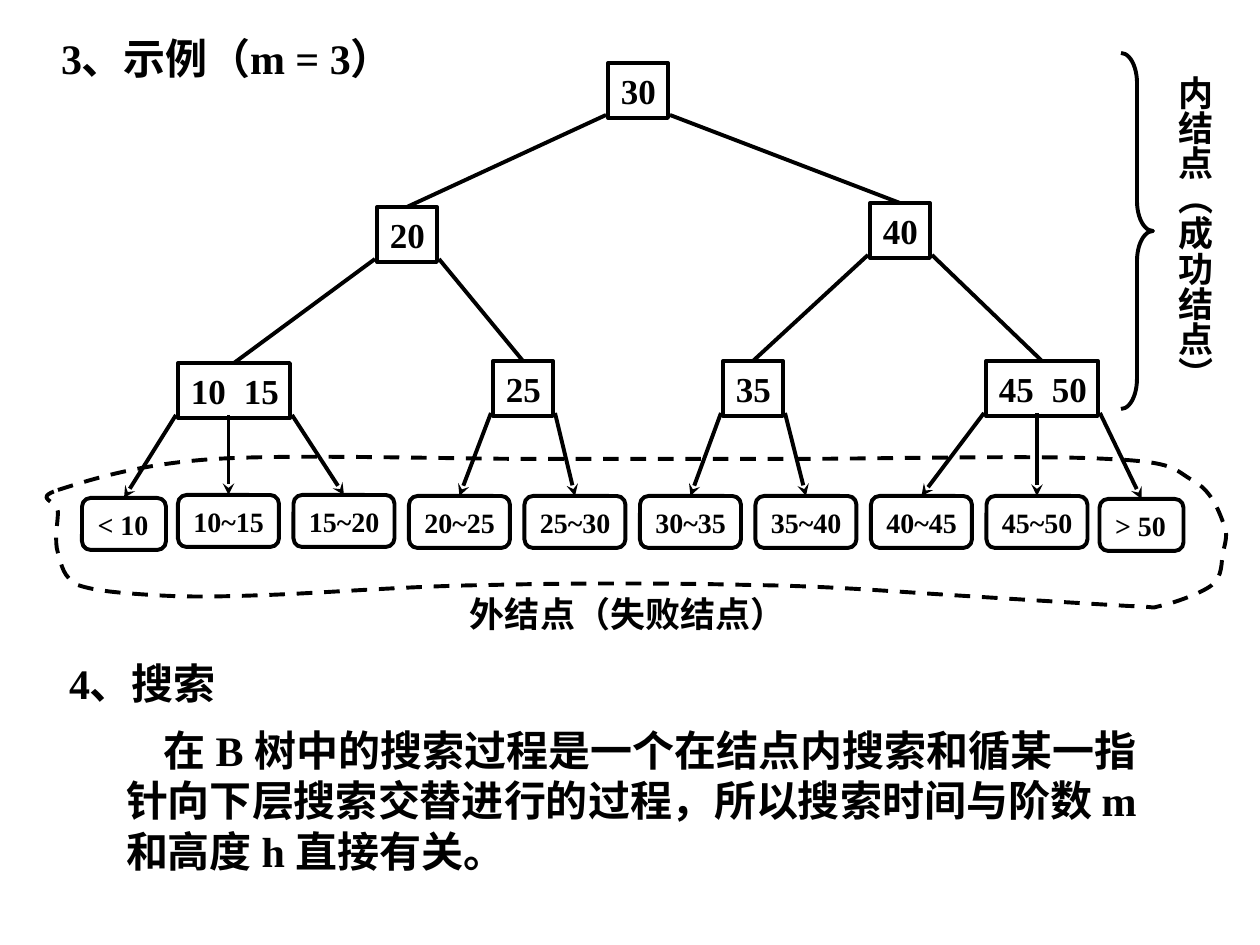
from lxml import etree
from pptx import Presentation
from pptx import util as u
from pptx.dml.color import RGBColor
from pptx.enum import dml, shapes, text
from pptx.oxml.ns import qn

# Content; all lengths in px, 126 to the inch
HEADING = ("3、示例（m = 3）", (48, 26, 387, 63))
NOTES = [  # text, box, size, format, first-line indent
    ("4、搜索", (56, 651, 181, 63), "heading", {"word_wrap": False}, 0),
    ("在 B 树中的搜索过程是一个在结点内搜索和循某一指针向下层搜索交替进行的过程，"
     "所以搜索时间与阶数 m 和高度 h 直接有关。", (113, 718, 1062, 164), "heading",
     {"word_wrap": True}, 38),
    ("外结点（失败结点）", (457, 586, 340, 55), "node", {"word_wrap": False}, 0),
]
INNER_LABEL = ("内结点（成功结点）", (1161, 69, 67, 329))
BRACE = (1121, 53, 32, 356)

NODES = {  # keys, left, top
    "root": (("30",), 608, 63),
    "left": (("20",), 377, 207),
    "right": (("40",), 870, 203),
    "low": (("10", "15"), 178, 363),
    "mid left": (("25",), 493, 361),
    "mid right": (("35",), 723, 361),
    "high": (("45", "50"), 986, 361),
}
LEAVES = [  # range, top
    ("< 10", 498), ("10~15", 495), ("15~20", 495), ("20~25", 496), ("25~30", 496),
    ("30~35", 496), ("35~40", 496), ("40~45", 496), ("45~50", 496), ("> 50", 499),
]
CHILDREN = {
    "root": ["left", "right"],
    "left": ["low", "mid left"],
    "right": ["mid right", "high"],
    "low": ["< 10", "10~15", "15~20"],
    "mid left": ["20~25", "25~30"],
    "mid right": ["30~35", "35~40"],
    "high": ["40~45", "45~50", "> 50"],
}
LOOP_START = (58, 490)
LOOP = [  # Bézier pieces: two control points and an end point
    (84, 482, 135, 464, 215, 459), (296, 454, 446, 459, 541, 459),
    (635, 459, 688, 459, 782, 459), (877, 459, 1040, 455, 1108, 459),
    (1176, 462, 1173, 469, 1192, 480), (1211, 490, 1218, 509, 1223, 522),
    (1229, 534, 1225, 543, 1223, 553), (1221, 563, 1223, 576, 1212, 585),
    (1202, 593, 1174, 603, 1160, 606), (1147, 609, 1164, 607, 1129, 606),
    (1094, 604, 1013, 599, 950, 595), (887, 591, 828, 586, 751, 585),
    (674, 583, 568, 583, 489, 585), (408, 586, 324, 593, 267, 595),
    (212, 597, 184, 597, 152, 595), (121, 593, 95, 591, 78, 585),
    (63, 577, 62, 566, 58, 553), (54, 541, 58, 522, 58, 512),
    (58, 500, 32, 499, 58, 490),
]
THEME = {"font": "Times New Roman", "ink": RGBColor(0, 0, 0), "line": u.Pt(2.25),
         "heading": u.Pt(24), "node": u.Pt(20), "leaf": u.Pt(16)}
INSET_X, INSET_Y = 13, 6


def px(value):
    return u.Emu(round(value * 914400 / 126))


def place(box):
    return [px(value) for value in box]


def set_all(target, values):
    for name, value in values.items():
        setattr(target, name, value)


def write(shape, words, size, frame_format, indent=0, tab=None):
    frame = shape.text_frame
    set_all(frame, {"margin_left": px(INSET_X), "margin_right": px(INSET_X),
                    "margin_top": px(INSET_Y), "margin_bottom": px(INSET_Y),
                    "vertical_anchor": text.MSO_ANCHOR.TOP,
                    "auto_size": text.MSO_AUTO_SIZE.NONE, **frame_format})
    frame.text = words
    paragraph = frame.paragraphs[0]
    paragraph.alignment = text.PP_ALIGN.LEFT
    properties = paragraph._p.get_or_add_pPr()
    if indent:
        properties.set("marL", "0")
        properties.set("indent", str(px(indent)))
    if tab:
        tabs = etree.SubElement(properties, qn("a:tabLst"))
        etree.SubElement(tabs, qn("a:tab"), pos=str(px(tab)), algn="l")
    font = paragraph.runs[0].font
    set_all(font, {"name": THEME["font"], "size": THEME[size], "bold": True})
    font.color.rgb = THEME["ink"]


def outline(shape):
    shape.line.color.rgb = THEME["ink"]
    shape.line.width = THEME["line"]


def plain(shape):
    shape.shadow.inherit = False
    shape.fill.background()
    outline(shape)
    return shape


def curve(shape):
    """Turn each three straight segments into one Bézier piece."""
    segments = list(shape._element.iter(qn("a:lnTo")))
    for first in range(0, len(segments), 3):
        piece = etree.Element(qn("a:cubicBezTo"))
        segments[first].addprevious(piece)
        for segment in segments[first:first + 3]:
            piece.append(segment[0])
            segment.getparent().remove(segment)


def main():
    presentation = Presentation()
    presentation.slide_width, presentation.slide_height = px(1260), px(945)
    slide = presentation.slides.add_slide(presentation.slide_layouts[5])
    parts = slide.shapes

    # Headings and text
    title = parts.title
    set_all(title, dict(zip(("left", "top", "width", "height"), place(HEADING[1]))))
    write(title, HEADING[0], "heading", {"word_wrap": True, "margin_right": 0})
    for words, box, size, frame_format, indent in NOTES:
        write(parts.add_textbox(*place(box)), words, size,
              {"vertical_anchor": text.MSO_ANCHOR.MIDDLE, **frame_format}, indent)

    # Inner nodes
    tree = {}
    for name, (keys, left, top) in NODES.items():
        width = 60 if len(keys) == 1 else 112
        tree[name] = plain(parts.add_shape(shapes.MSO_SHAPE.RECTANGLE,
                                           *place((left, top, width, 55))))
        write(tree[name], "\t".join(keys), "node",
              {"margin_right": 0, "word_wrap": True}, tab=53 if len(keys) > 1 else None)

    # Leaves: equal pitch, with narrower boxes at both ends
    for index, (words, top) in enumerate(LEAVES):
        at_end = index in (0, len(LEAVES) - 1)
        kind = (shapes.MSO_SHAPE.FLOWCHART_ALTERNATE_PROCESS if at_end
                else shapes.MSO_SHAPE.ROUNDED_RECTANGLE)
        width = 84 if at_end else 101
        center = 113 + 115.5 * index + (11 if index == 0 else -11 if at_end else 0)
        tree[words] = plain(parts.add_shape(kind, *place((center - width / 2, top, width, 52))))
        write(tree[words], words, "leaf",
              {"margin_right": 0, "margin_top": px(INSET_Y + 1), "word_wrap": True})

    # Edges from the lower corners (and middle) to the top of each child
    for name, children in CHILDREN.items():
        parent = tree[name]
        for index, child_name in enumerate(children):
            child = tree[child_name]
            center = child.left + child.width // 2
            if index == 0:
                x = parent.left - px(2)
            elif index == len(children) - 1:
                x = parent.left + parent.width + px(2)
            else:
                x = center
            edge = parts.add_connector(shapes.MSO_CONNECTOR.STRAIGHT, x,
                                       parent.top + parent.height - px(3), center, child.top)
            edge.end_connect(child, 0)
            outline(edge)
            if child_name not in NODES:
                etree.SubElement(edge.line._get_or_add_ln(), qn("a:tailEnd"), type="stealth")
            etree.SubElement(edge._element.spPr, qn("a:effectLst"))

    # Brace and its vertical label
    brace = plain(parts.add_shape(shapes.MSO_SHAPE.RIGHT_BRACE, *place(BRACE)))
    brace.adjustments[0] = 0.94
    label = parts.add_textbox(*place(INNER_LABEL[1]))
    write(label, INNER_LABEL[0], "node",
          {"margin_left": px(INSET_Y), "margin_right": px(INSET_Y),
           "margin_top": px(INSET_Y + 1), "margin_bottom": px(INSET_Y + 1),
           "vertical_anchor": text.MSO_ANCHOR.MIDDLE, "word_wrap": False})
    label.text_frame._txBody.bodyPr.set("vert", "eaVert")

    # Dashed loop around the leaves
    builder = parts.build_freeform(*place(LOOP_START))
    builder.add_line_segments([place(piece[at:at + 2]) for piece in LOOP for at in (0, 2, 4)],
                              close=True)
    loop = plain(builder.convert_to_shape())
    curve(loop)
    loop.line.dash_style = dml.MSO_LINE.DASH

    presentation.save("out.pptx")


if __name__ == "__main__":
    main()
